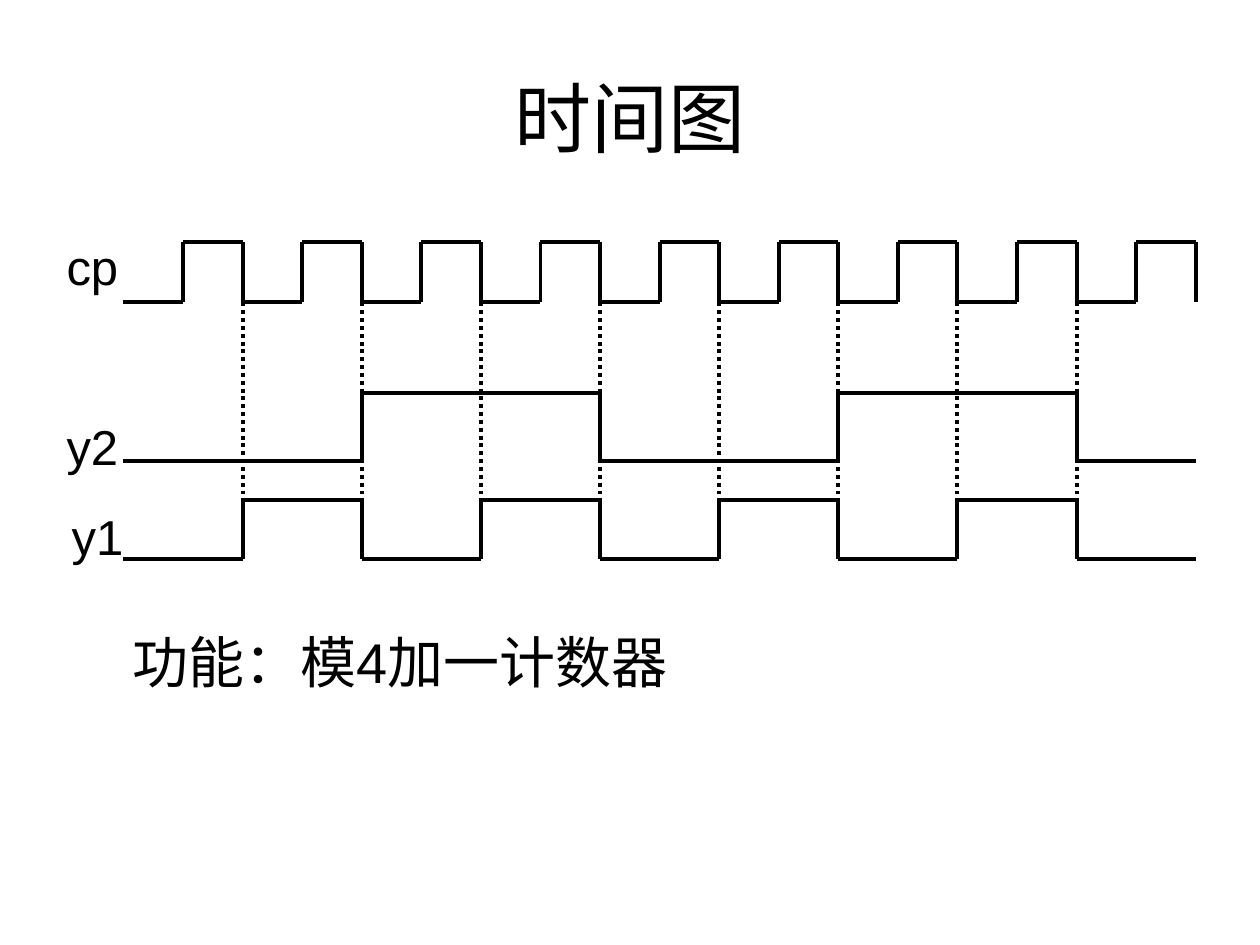
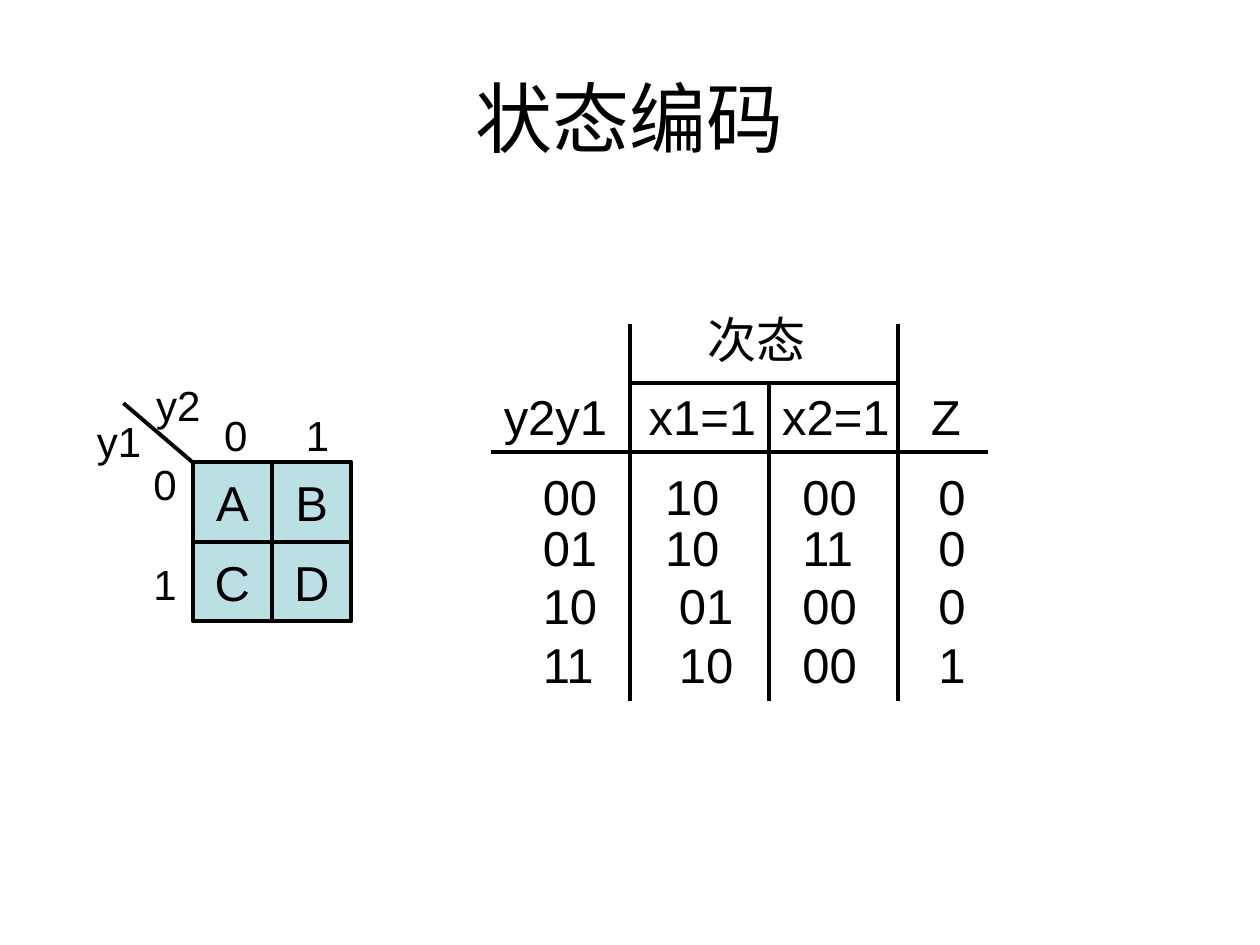
from dataclasses import dataclass
from itertools import groupby

from lxml import etree
from pptx import Presentation
from pptx.dml.color import RGBColor
from pptx.enum.dml import MSO_LINE_DASH_STYLE as Dash
from pptx.enum.shapes import MSO_CONNECTOR as Connector, MSO_SHAPE as Shape
from pptx.enum.text import MSO_ANCHOR as Anchor, PP_ALIGN as Align
from pptx.oxml.ns import qn
from pptx.util import Inches, Pt


@dataclass(frozen=True)
class Theme:
    font: str = "Arial"
    ink: RGBColor = RGBColor(0, 0, 0)
    cell: RGBColor = RGBColor(0xBB, 0xE0, 0xE3)
    title: int = 44
    caption: int = 32
    body: int = 28
    small: int = 24
    line: float = 2.25


THEME = Theme()

WAVE_LEFT, WAVE_RIGHT, PERIODS = 0.98, 9.49, 9
PERIOD = (WAVE_RIGHT - WAVE_LEFT) / PERIODS
CP_HIGH, CP_LOW = 1.92, 2.4
Y2_HIGH, Y2_LOW = 3.12, 3.66
Y1_HIGH, Y1_LOW = 3.97, 4.44

HEADER_TABS = (1.15, 2.21, 3.39)
STATE_TABS = (0.97, 2.06, 3.14)
SHIFTED_TABS = (1.08, 2.06, 3.14)
STATE_ROWS = [
    (3.65, ("00", "10", "00", "0"), STATE_TABS),
    (4.06, ("01", "10", "11", "0"), STATE_TABS),
    (4.52, ("10", "01", "00", "0"), SHIFTED_TABS),
    (4.99, ("11", "10", "00", "1"), SHIFTED_TABS),
]


def add_tabs(p, tabs):
    tab_list = etree.SubElement(p._p.get_or_add_pPr(), qn("a:tabLst"))
    for pos in tabs:
        etree.SubElement(tab_list, qn("a:tab"), pos=str(Inches(pos)), algn="l")


def write(tf, text, size, align=Align.LEFT, tabs=()):
    p = tf.paragraphs[0]
    p.text = text
    p.alignment = align
    if tabs:
        add_tabs(p, tabs)
    p.font.name = THEME.font
    p.font.size = Pt(size)
    p.font.color.rgb = THEME.ink


def add_titled_slide(prs, title):
    s = prs.slides.add_slide(prs.slide_layouts[5])
    sp = s.shapes.title
    sp.left, sp.top = Inches(0.5), Inches(0.3)
    sp.width, sp.height = Inches(9), Inches(1.25)
    sp.text_frame.vertical_anchor = Anchor.MIDDLE
    write(sp.text_frame, title, THEME.title, Align.CENTER)
    return s


def add_label(s, text, left, top, size, width=0.8, tabs=()):
    sp = s.shapes.add_textbox(Inches(left), Inches(top), Inches(width), Inches(0.57))
    sp.text_frame.word_wrap = True
    write(sp.text_frame, text, size, tabs=tabs)


def add_line(s, x1, y1, x2, y2, dash=None):
    line = s.shapes.add_connector(
        Connector.STRAIGHT, Inches(x1), Inches(y1), Inches(x2), Inches(y2))
    line.line.color.rgb = THEME.ink
    line.line.width = Pt(THEME.line)
    if dash:
        line.line.dash_style = dash
    etree.SubElement(line._element.spPr, qn("a:effectLst"))


def add_wave(s, bits, high, low):
    step = (WAVE_RIGHT - WAVE_LEFT) / len(bits)
    x = WAVE_LEFT
    for bit, run in groupby(bits):
        end = x + step * len(list(run))
        y = high if bit == "1" else low
        if x > WAVE_LEFT:
            add_line(s, x, high, x, low)
        add_line(s, x, y, end, y)
        x = end


def add_square(s, text, left, top, side):
    sp = s.shapes.add_shape(
        Shape.RECTANGLE, Inches(left), Inches(top), Inches(side), Inches(side))
    sp.shadow.inherit = False
    sp.fill.solid()
    sp.fill.fore_color.rgb = THEME.cell
    sp.line.color.rgb = THEME.ink
    sp.line.width = Pt(THEME.line)
    sp.text_frame.vertical_anchor = Anchor.MIDDLE
    write(sp.text_frame, text, THEME.body, Align.CENTER)


def add_karnaugh_map(s, left, top, side):
    for i, state in enumerate("ABCD"):
        row, col = divmod(i, 2)
        add_square(s, state, left + col * side, top + row * side, side)
    add_line(s, left, top, 0.98, 3.2)
    add_label(s, "y2", 1.14, 2.96, THEME.small)
    add_label(s, "y1", 0.67, 3.25, THEME.small)
    for i, bit in enumerate("01"):
        add_label(s, bit, 1.68 + i * 0.65, 3.2, THEME.small, 0.4)
        add_label(s, bit, 1.12, 3.59 + i * 0.79, THEME.small, 0.4)


def add_state_row(s, values, left, top, tabs):
    add_label(s, "\t".join(values), left, top, THEME.body, 4, tabs)


def add_state_grid(s):
    left, right, top, bottom = 3.9, 7.84, 2.57, 5.56
    next_left, next_mid, next_right = 5, 6.1, 7.13
    next_rule, header_rule = 3.04, 3.59
    add_label(s, "次态", 5.52, 2.41, THEME.body, 1.1)
    add_state_row(s, ("y2y1", "x1=1", "x2=1", "Z"), left, 3.02, HEADER_TABS)
    for row_top, values, tabs in STATE_ROWS:
        add_state_row(s, values, 4.21, row_top, tabs)
    add_line(s, next_left, next_rule, next_right, next_rule)
    add_line(s, left, header_rule, right, header_rule)
    add_line(s, next_mid, next_rule, next_mid, bottom)
    for x in (next_left, next_right):
        add_line(s, x, top, x, bottom)


def build_timing_slide(prs):
    s = add_titled_slide(prs, "时间图")
    add_wave(s, "01" * PERIODS, CP_HIGH, CP_LOW)
    add_line(s, WAVE_RIGHT, CP_HIGH, WAVE_RIGHT, CP_LOW)
    add_wave(s, "001100110", Y2_HIGH, Y2_LOW)
    add_wave(s, "010101010", Y1_HIGH, Y1_LOW)
    for i in range(1, PERIODS):
        x = WAVE_LEFT + i * PERIOD
        add_line(s, x, CP_LOW, x, Y1_LOW, Dash.ROUND_DOT)
    add_label(s, "cp", 0.43, 1.83, THEME.body)
    add_label(s, "y2", 0.43, 3.26, THEME.body)
    add_label(s, "y1", 0.47, 3.97, THEME.body)
    add_label(s, "功能：模4加一计数器", 0.95, 4.93, THEME.caption, 5.2)


def build_encoding_slide(prs):
    s = add_titled_slide(prs, "状态编码")
    add_karnaugh_map(s, 1.53, 3.67, 0.63)
    add_state_grid(s)


def main():
    prs = Presentation()
    prs.slide_width, prs.slide_height = Inches(10), Inches(7.5)
    build_timing_slide(prs)
    build_encoding_slide(prs)
    prs.save("out.pptx")


if __name__ == "__main__":
    main()
